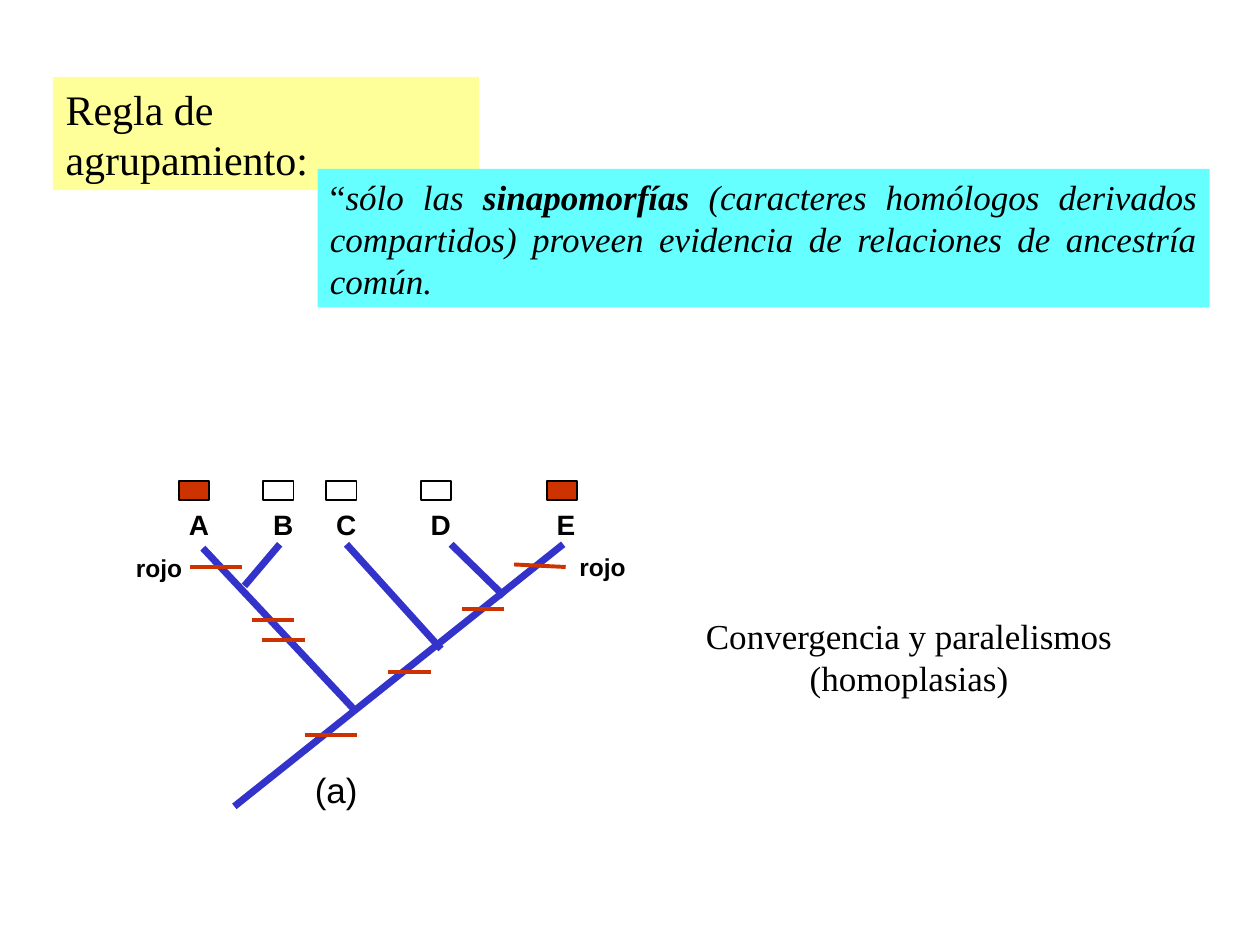
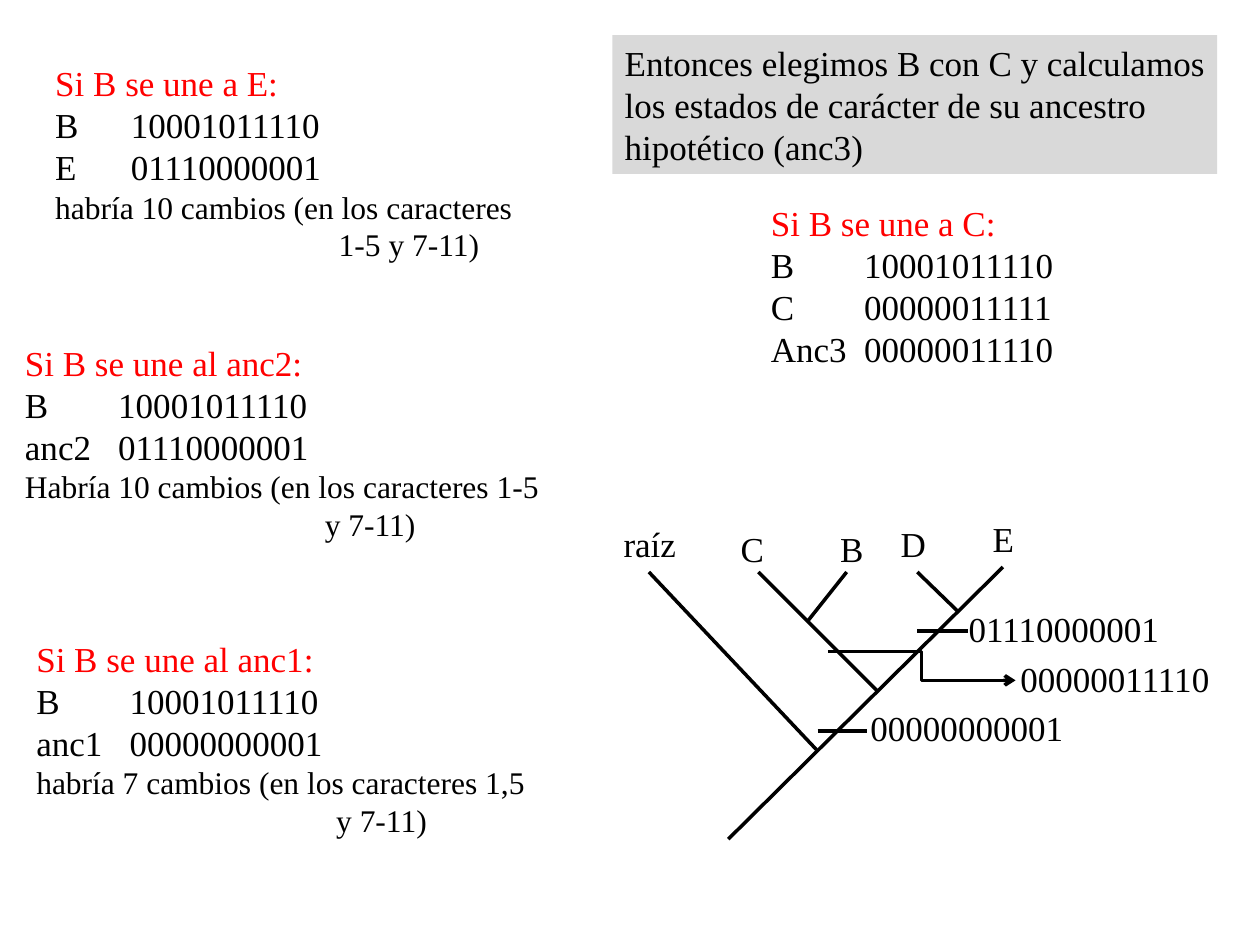
"""Builds two slides on cladistic grouping, with trees and character states."""
from lxml import etree
from pptx import Presentation
from pptx.dml.color import RGBColor
from pptx.enum.shapes import MSO_CONNECTOR, MSO_SHAPE
from pptx.enum.text import MSO_ANCHOR, MSO_AUTO_SIZE, PP_ALIGN
from pptx.oxml.ns import qn
from pptx.util import Inches, Pt

STRAIGHT, ELBOW = MSO_CONNECTOR.STRAIGHT, MSO_CONNECTOR.ELBOW
RECTANGLE = MSO_SHAPE.RECTANGLE
TOP, NO_AUTOFIT = MSO_ANCHOR.TOP, MSO_AUTO_SIZE.NONE
LEFT, CENTER, JUSTIFY = PP_ALIGN.LEFT, PP_ALIGN.CENTER, PP_ALIGN.JUSTIFY
SERIF, SANS = "Times New Roman", "Arial"
BLACK, RED, BRANCH, CHANGE = "000000", "FF0000", "3333CC", "CC3300"
YELLOW, CYAN, GREY = "FFFF99", "66FFFF", "D9D9D9"

presentation = Presentation()
presentation.slide_width = Inches(10)
presentation.slide_height = Inches(7.5)
CELL = presentation.slide_width // 100


def write(shape, box, lines, size=20, font=SERIF, align=LEFT, wrap=False, fill=None):
    """Place a text shape on the grid and fill it; a line is a list of (text, style) runs."""
    shape.left, shape.top, shape.width, shape.height = [int(n * CELL) for n in box]
    if fill:
        shape.fill.solid()
        shape.fill.fore_color.rgb = RGBColor.from_string(fill)
    frame = shape.text_frame
    frame.auto_size = NO_AUTOFIT
    frame.word_wrap = wrap
    frame.vertical_anchor = TOP
    for index, line in enumerate(lines):
        paragraph = frame.add_paragraph() if index else frame.paragraphs[0]
        paragraph.alignment = align
        for text, style in line:
            run = paragraph.add_run()
            run.text = text
            run.font.name = font
            run.font.size = Pt(style.get("size", size))
            run.font.bold = style.get("bold", False)
            run.font.italic = style.get("italic", False)
            run.font.color.rgb = RGBColor.from_string(style.get("color", BLACK))
    return frame


def draw_line(slide, ends, color, width, kind=STRAIGHT):
    """Draw a connector between two grid points, without shadow."""
    connector = slide.shapes.add_connector(kind, *[int(n * CELL) for n in ends])
    connector.line.color.rgb = RGBColor.from_string(color)
    connector.line.width = Pt(width)
    etree.SubElement(connector._element.spPr, qn("a:effectLst"))
    return connector


# Slide 1
slide = presentation.slides.add_slide(presentation.slide_layouts[5])
write(slide.shapes.title, (4.2, 6.1, 33.8, 9), [[("Regla de agrupamiento:", {})]],
      size=24, fill=YELLOW)
rule = [
    ("“", {}),
    ("sólo las ", {"italic": True}),
    ("sinapomorfías", {"italic": True, "bold": True}),
    (" (caracteres homólogos derivados compartidos) proveen evidencia "
     "de relaciones de ancestría común.", {"italic": True}),
]
write(slide.shapes.add_textbox(0, 0, 0, 0), (25.2, 13.4, 70.8, 11), [rule],
      align=JUSTIFY, wrap=True, fill=CYAN)

branches = [
    (16.1, 43.5, 28, 56.2),
    (18.6, 64, 44.7, 43.2),
    (19.4, 46.5, 22.2, 43.2),
    (35, 51.5, 27.5, 43.2),
    (40, 47.3, 35.8, 43.2),
]
for branch in branches:
    draw_line(slide, branch, BRANCH, 4)

taxa = [("A", 14.2, True), ("B", 20.9, False), ("C", 25.9, False),
        ("D", 33.4, False), ("E", 43.4, True)]
for taxon, left, is_red in taxa:
    state = slide.shapes.add_shape(
        RECTANGLE, *[int(n * CELL) for n in (left, 38.2, 2.4, 1.5)])
    state.shadow.inherit = False
    state.line.color.rgb = RGBColor.from_string(BLACK)
    state.line.width = Pt(1)
    if is_red:
        state.fill.solid()
        state.fill.fore_color.rgb = RGBColor.from_string(CHANGE)
    else:
        state.fill.background()
    write(slide.shapes.add_textbox(0, 0, 0, 0), (left - 0.2, 39.8, 3.6, 3.6),
          [[(taxon, {"bold": True})]], size=16, font=SANS)

changes = [
    (15.1, 45, 19.2, 45),
    (40.8, 44.8, 44.9, 45),
    (24.2, 58.3, 28.3, 58.3),
    (30.8, 53.3, 34.2, 53.3),
    (36.7, 48.3, 40, 48.3),
    (20, 49.2, 23.3, 49.2),
    (20.8, 50.8, 24.2, 50.8),
]
for change in changes:
    draw_line(slide, change, CHANGE, 2.25)

for left, top in [(9.8, 43.4), (45, 43.3)]:
    write(slide.shapes.add_textbox(0, 0, 0, 0), (left, top, 5.7, 3.3),
          [[("rojo", {"bold": True})]], size=14, font=SANS)
write(slide.shapes.add_textbox(0, 0, 0, 0), (24, 60.5, 5.4, 4.3), [[("(a)", {})]], font=SANS)
write(slide.shapes.add_textbox(0, 0, 0, 0), (55, 48.3, 34.3, 7.7),
      [[("Convergencia y paralelismos", {})], [("(homoplasias)", {})]], align=CENTER)

# Slide 2
slide = presentation.slides.add_slide(presentation.slide_layouts[6])
unions = [
    ((3.4, 4.4, 42, 17), 6, 22.5, "Si B se une a E:",
     [("B", "10001011110"), ("E", "01110000001")],
     ["habría 10 cambios (en los caracteres", "1-5 y 7-11)"]),
    ((1.9, 50.1, 44, 17), 7.4, 23.8, "Si B se une al anc1:",
     [("B", "10001011110"), ("anc1", "00000000001")],
     ["habría 7 cambios (en los caracteres 1,5", "y 7-11)"]),
    ((1, 26.6, 46, 17), 7.4, 23.8, "Si B se une al anc2:",
     [("B", "10001011110"), ("anc2", "01110000001")],
     ["Habría 10 cambios (en los caracteres 1-5", "y 7-11)"]),
    ((60.2, 15.5, 26, 14.4), 7.4, 0, "Si B se une a C:",
     [("B", "10001011110"), ("C", "00000011111"), ("Anc3", "00000011110")], []),
]
for box, states_column, note_indent, heading, rows, note in unions:
    lines = [[(heading, {"color": RED})]]
    lines += [[(f"{name}\t{states}", {})] for name, states in rows]
    lines += [[(text, {"size": 18})] for text in note]
    frame = write(slide.shapes.add_textbox(0, 0, 0, 0), box, lines, wrap=True)
    for paragraph in frame.paragraphs[1:len(rows) + 1]:
        tabs = etree.SubElement(paragraph._p.get_or_add_pPr(), qn("a:tabLst"))
        etree.SubElement(tabs, qn("a:tab"), pos=str(int(states_column * CELL)), algn="l")
    if note:
        frame.paragraphs[-1]._p.get_or_add_pPr().set("marL", str(int(note_indent * CELL)))

conclusion = ["Entonces elegimos B con C y calculamos",
              "los estados de carácter de su ancestro", "hipotético (anc3)"]
write(slide.shapes.add_textbox(0, 0, 0, 0), (48.6, 2.8, 48, 11),
      [[(text, {})] for text in conclusion], fill=GREY)

tree_lines = [
    (79.6, 45, 57.8, 66.6),
    (64.8, 59.5, 51.5, 45.4),
    (69.6, 54.8, 60.2, 45.4),
    (76, 48.5, 72.8, 45.4),
    (64.1, 49.3, 67.2, 45.4),
    (64.9, 58, 68.8, 58),
    (72.8, 50.1, 76.8, 50.1),
]
for ends in tree_lines:
    draw_line(slide, ends, BLACK, 2)
arrow = draw_line(slide, (65.7, 51.7, 80.6, 54), BLACK, 2, ELBOW)
etree.SubElement(arrow.line._get_or_add_ln(), qn("a:tailEnd"), type="arrow")

tree_labels = [
    ("raíz", 48.5, 41, 6.1),
    ("C", 57.8, 41.4, 3.8),
    ("B", 65.7, 41.4, 3.8),
    ("D", 70.5, 41, 4),
    ("E", 77.8, 40.6, 3.7),
    ("01110000001", 75.9, 47.7, 17.3),
    ("00000011110", 80, 51.7, 17.3),
    ("00000000001", 68.1, 55.6, 17.3),
]
for label, left, top, width in tree_labels:
    write(slide.shapes.add_textbox(0, 0, 0, 0), (left, top, width, 4.4), [[(label, {})]])

presentation.save("out.pptx")
